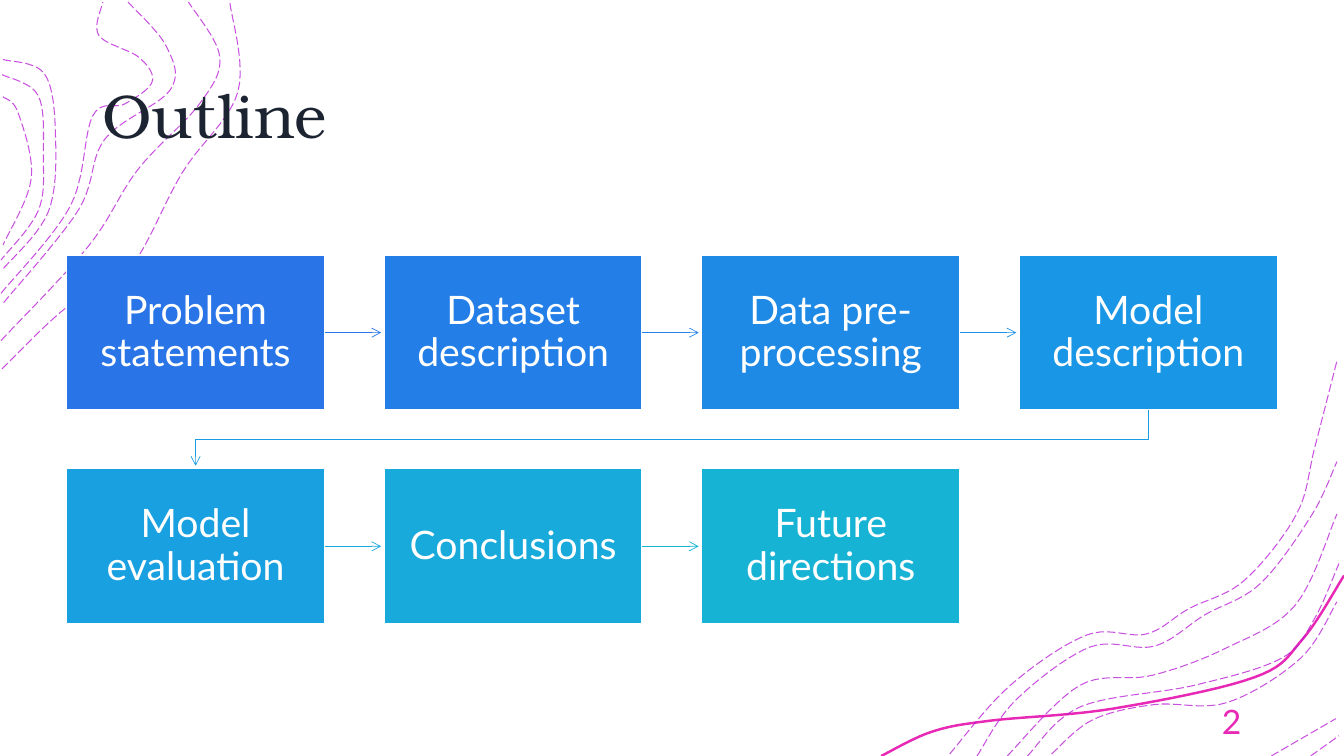
from lxml import etree
from pptx import Presentation
from pptx.dml.color import RGBColor
from pptx.enum.dml import MSO_LINE
from pptx.enum.shapes import MSO_CONNECTOR, MSO_SHAPE
from pptx.enum.text import MSO_ANCHOR, PP_ALIGN
from pptx.oxml.ns import qn
from pptx.util import Inches, Pt

LONG_DASH = MSO_LINE.LONG_DASH
STRAIGHT = MSO_CONNECTOR.STRAIGHT
RECTANGLE = MSO_SHAPE.RECTANGLE
MIDDLE = MSO_ANCHOR.MIDDLE
LEFT, CENTER, RIGHT = PP_ALIGN.LEFT, PP_ALIGN.CENTER, PP_ALIGN.RIGHT

WHITE = RGBColor.from_string("FFFFFF")
INK = RGBColor.from_string("1C2431")
PINK = RGBColor.from_string("E729B5")
PURPLE = RGBColor.from_string("B817D5")
HEAD_FONT, BODY_FONT = "TeX Gyre Bonum", "Lato"

# Grid of the outline boxes, in inches
COLUMNS = 4
GRID_X, GRID_Y = 0.66, 2.53
PITCH_X, PITCH_Y = 3.15, 2.12
BOX_W, BOX_H = 2.56, 1.54
ARROW_GAP = 0.03

STEPS = [  # label, box colour, colour of the arrow that leaves it
    ("Problem statements", "2975E7", "2975E7"),
    ("Dataset description", "237FE7", "2281E6"),
    ("Data pre-processing", "1E8AE6", "1C8FE6"),
    ("Model description", "1996E5", "199CE2"),
    ("Model evaluation", "18A0E0", "18A8DB"),
    ("Conclusions", "18AADA", "17B3D5"),
    ("Future directions", "17B3D5", None),
]

RIBBON = [(13.33, 5.71), (12.92, 6.34), (12.44, 6.72), (11.04, 7.03),
          (9.82, 7.15), (9.24, 7.26), (8.74, 7.5)]

CONTOURS = [
    # top left
    [(0.02, 3.66), (0.66, 3.05), (1.27, 2.69), (1.81, 1.71), (2.36, 0.91), (2.28, 0.02)],
    [(0.01, 3.38), (0.88, 2.44), (1.37, 1.68), (1.98, 1.03), (2.18, 0.56), (1.87, 0.02)],
    [(1.27, 0.02), (1.65, 0.46), (1.69, 0.89), (1.04, 1.38), (0.78, 2.08), (0.03, 3.01)],
    [(0.01, 2.91), (0.7, 2.04), (0.92, 1.15), (1.24, 1.03), (1.51, 0.81), (1.38, 0.57),
     (0.98, 0.35), (1.02, 0.02)],
    [(0.03, 0.59), (0.44, 0.73), (0.55, 1.32), (0.48, 2.1), (0.02, 2.68)],
    [(0.02, 0.74), (0.38, 0.95), (0.43, 1.55), (0.38, 2.09), (0.01, 2.58)],
    [(0.03, 0.96), (0.18, 1.12), (0.31, 1.77), (0.03, 2.43)],
    # bottom right
    [(9.42, 7.48), (10.02, 6.8), (10.78, 6.3), (11.37, 6.29), (11.79, 6.04), (12.34, 5.76),
     (12.86, 5.1), (13.04, 4.44), (13.26, 3.58)],
    [(9.69, 7.5), (10.08, 6.94), (10.81, 6.42), (11.45, 6.41), (11.95, 6.1), (12.5, 5.79),
     (13.01, 5.11), (13.26, 4.58)],
    [(13, 7.5), (13.28, 7.3)],
    [(12.61, 7.5), (13.25, 7.13)],
    [(10.43, 7.48), (10.84, 7.14), (11.45, 6.99), (12.17, 6.97), (12.9, 6.53), (13.26, 5.97)],
    [(10.19, 7.5), (10.72, 7.01), (11.84, 6.8), (12.71, 6.53), (13.03, 6.15), (13.28, 5.59)],
    [(9.99, 7.5), (10.71, 6.8), (11.43, 6.7), (12.16, 6.43), (12.85, 6), (13.26, 5.1)],
]

prs = Presentation()
prs.slide_width, prs.slide_height = Inches(13.33), Inches(7.5)
s = prs.slides.add_slide(prs.slide_layouts[6])


def smooth(points, steps=10):
    """Return a dense Catmull-Rom curve through the points."""
    ends = [points[0], *points, points[-1]]
    curve = [points[0]]
    for a, b, c, d in zip(ends, ends[1:], ends[2:], ends[3:]):
        for k in range(1, steps + 1):
            t = k / steps
            curve.append(tuple(
                b[i] + t * (c[i] - a[i]) / 2
                + t * t * (2 * a[i] - 5 * b[i] + 4 * c[i] - d[i]) / 2
                + t ** 3 * (3 * b[i] - a[i] - 3 * c[i] + d[i]) / 2
                for i in (0, 1)))
    return curve


def add_open_line(points, color, width):
    """Add an unfilled freeform through points given in inches."""
    pts = [(Inches(x), Inches(y)) for x, y in points]
    builder = s.shapes.build_freeform(*pts[0])
    builder.add_line_segments(pts[1:], close=False)
    sp = builder.convert_to_shape()
    sp.shadow.inherit = False
    sp.fill.background()
    sp.line.color.rgb = color
    sp.line.width = Pt(width)
    return sp


add_open_line(smooth(RIBBON), PINK, 1.75)

for points in CONTOURS:
    sp = add_open_line(smooth(points), PURPLE, 0.75)
    sp.line.dash_style = LONG_DASH
    rgb = sp._element.spPr.find(".//" + qn("a:srgbClr"))
    etree.SubElement(rgb, qn("a:alpha"), val="75000")

for text, box, align, font, size, color in (
        ("Outline", (0.92, 0.4, 11.5, 1.45), LEFT, HEAD_FONT, 44, INK),
        ("2", (10.83, 6.95, 1.58, 0.4), RIGHT, BODY_FONT, 24, PINK)):
    tf = s.shapes.add_textbox(*map(Inches, box)).text_frame
    tf.word_wrap = True
    tf.vertical_anchor = MIDDLE
    p = tf.paragraphs[0]
    p.alignment = align
    r = p.add_run()
    r.text = text
    r.font.name, r.font.size, r.font.color.rgb = font, Pt(size), color

for i, (label, box_color, arrow_color) in enumerate(STEPS):
    row, col = divmod(i, COLUMNS)
    x, y = GRID_X + col * PITCH_X, GRID_Y + row * PITCH_Y
    sp = s.shapes.add_shape(RECTANGLE, *map(Inches, (x, y, BOX_W, BOX_H)))
    sp.shadow.inherit = False
    sp.fill.solid()
    sp.fill.fore_color.rgb = RGBColor.from_string(box_color)
    sp.line.color.rgb = WHITE
    sp.line.width = Pt(1)
    tf = sp.text_frame
    tf.word_wrap = True
    tf.vertical_anchor = MIDDLE
    tf.margin_left = tf.margin_right = tf.margin_top = tf.margin_bottom = Inches(0.22)
    p = tf.paragraphs[0]
    p.alignment = CENTER
    p.line_spacing = 0.9
    r = p.add_run()
    r.text = label
    r.font.name, r.font.size, r.font.color.rgb = BODY_FONT, Pt(28), WHITE

    if arrow_color is None:
        continue
    color = RGBColor.from_string(arrow_color)
    if col < COLUMNS - 1:
        mid_y = Inches(y + BOX_H / 2)
        arrow = s.shapes.add_connector(STRAIGHT, Inches(x + BOX_W), mid_y,
                                       Inches(x + PITCH_X - ARROW_GAP), mid_y)
        arrow.line.color.rgb = color
        arrow.line.width = Pt(0.5)
        etree.SubElement(arrow._element.spPr, qn("a:effectLst"))
    else:  # the last box of a row leads down to the first of the next
        from_x, to_x = x + BOX_W / 2, GRID_X + BOX_W / 2
        turn_y = y + (BOX_H + PITCH_Y) / 2
        arrow = add_open_line([(from_x, y + BOX_H), (from_x, turn_y), (to_x, turn_y),
                               (to_x, y + PITCH_Y - ARROW_GAP)], color, 0.5)
    ln = arrow._element.spPr.find(qn("a:ln"))
    etree.SubElement(ln, qn("a:tailEnd"), type="arrow")

prs.save("out.pptx")
